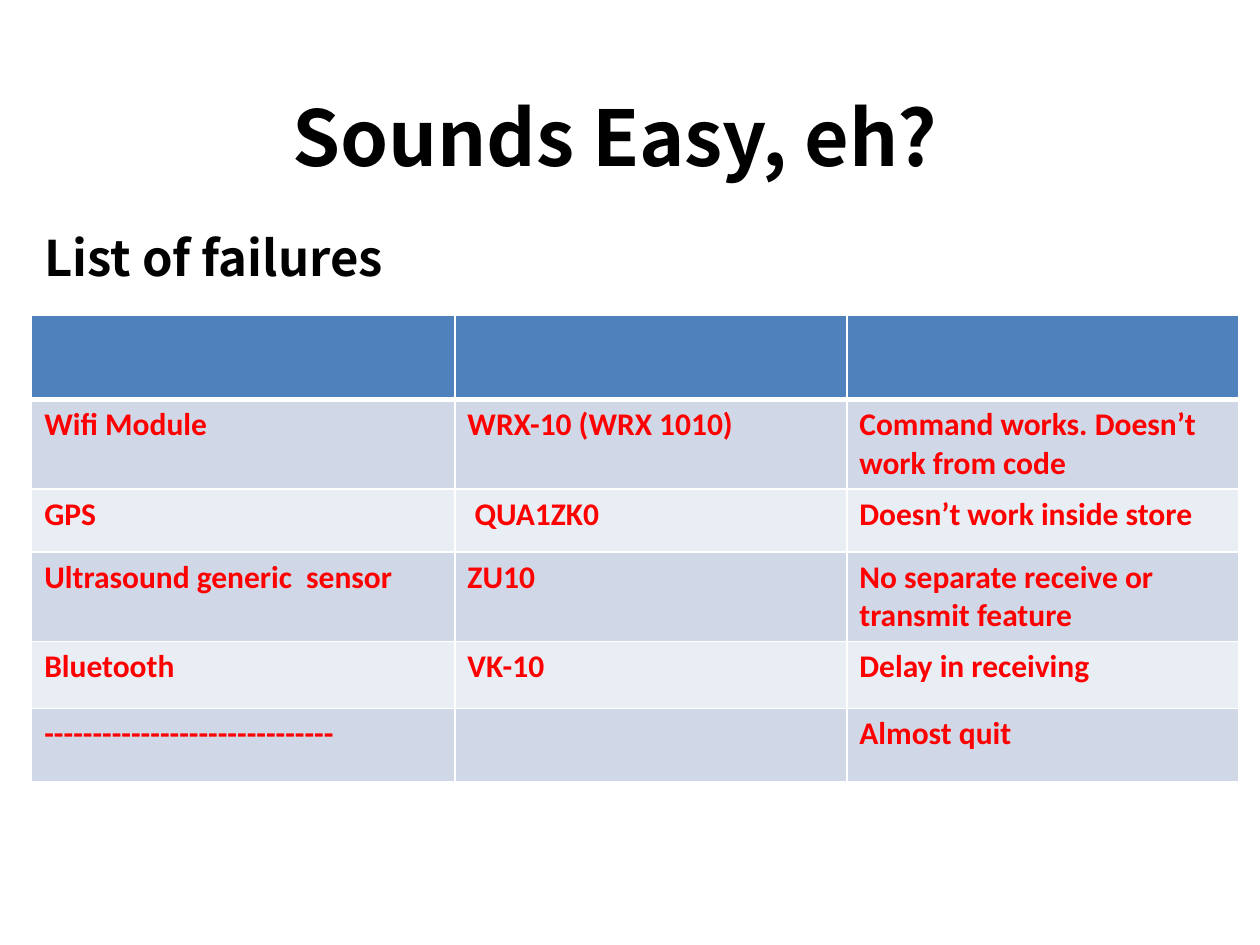
from lxml import etree
from pptx import Presentation
from pptx.dml.color import RGBColor
from pptx.enum.text import MSO_ANCHOR, MSO_AUTO_SIZE, PP_ALIGN
from pptx.oxml.ns import qn
from pptx.util import Cm, Pt

MIDDLE = MSO_ANCHOR.MIDDLE
NO_FIT = MSO_AUTO_SIZE.NONE
LEFT, CENTER = PP_ALIGN.LEFT, PP_ALIGN.CENTER

TITLE = "Sounds Easy, eh?"
SUBTITLE = "List of failures"
FAILURES = [
    ("", "", ""),
    ("Wifi Module", "WRX-10 (WRX 1010)", "Command works. Doesn’t work from code"),
    ("GPS", " QUA1ZK0", "Doesn’t work inside store"),
    ("Ultrasound generic  sensor", "ZU10", "No separate receive or transmit feature"),
    ("Bluetooth", "VK-10", "Delay in receiving"),
    ("-" * 30, "", "Almost quit"),
]
COL_WIDTHS = [8.53, 7.9, 7.9]
ROW_HEIGHTS = [1.7, 1.47, 1.27, 1.32, 1.35, 1.47]
COLORS = {"text": "000000", "failure": "FF0000", "header": "4F81BD",
          "odd": "D0D8E8", "even": "E9EDF4", "border": "FFFFFF"}
HEAD_FONT, BODY_FONT = "Noto Sans CJK KR", "Calibri"


def add_run(p, text, font, size, color):
    r = p.add_run()
    r.text = text
    r.font.name = font
    r.font.size = Pt(size)
    r.font.bold = True
    r.font.color.rgb = RGBColor.from_string(COLORS[color])


def write_heading(sp, text, size, align):
    tf = sp.text_frame
    tf.word_wrap = True
    tf.auto_size = NO_FIT
    tf.vertical_anchor = MIDDLE
    p = tf.paragraphs[0]
    p.alignment = align
    add_run(p, text, HEAD_FONT, size, "text")


def set_borders(cell, bottom):
    tcPr = cell._tc.get_or_add_tcPr()
    widths = {"a:lnL": 1, "a:lnR": 1, "a:lnT": 1, "a:lnB": bottom}
    for i, (tag, width) in enumerate(widths.items()):
        ln = etree.Element(qn(tag), w=str(Pt(width)))
        fill = etree.SubElement(ln, qn("a:solidFill"))
        etree.SubElement(fill, qn("a:srgbClr"), val=COLORS["border"])
        tcPr.insert(i, ln)


prs = Presentation()
prs.slide_width, prs.slide_height = Cm(25.4), Cm(19.05)
s = prs.slides.add_slide(prs.slide_layouts[5])

title = s.shapes.title
title.left, title.top, title.width, title.height = Cm(2.34), Cm(1.47), Cm(20.12), Cm(2.54)
write_heading(title, TITLE, 44, CENTER)

table = s.shapes.add_table(len(ROW_HEIGHTS), len(COL_WIDTHS), Cm(0.64), Cm(6.35),
                           Cm(sum(COL_WIDTHS)), Cm(sum(ROW_HEIGHTS))).table
for col, width in zip(table.columns, COL_WIDTHS):
    col.width = Cm(width)
for i, (row, height, texts) in enumerate(zip(table.rows, ROW_HEIGHTS, FAILURES)):
    row.height = Cm(height)
    band = "header" if i == 0 else "odd" if i % 2 else "even"
    for cell, text in zip(row.cells, texts):
        cell.fill.solid()
        cell.fill.fore_color.rgb = RGBColor.from_string(COLORS[band])
        set_borders(cell, 3 if i == 0 else 1)
        if text:
            add_run(cell.text_frame.paragraphs[0], text, BODY_FONT, 18, "failure")

subtitle = s.shapes.add_textbox(Cm(0.64), Cm(4.01), Cm(15.44), Cm(2.34))
write_heading(subtitle, SUBTITLE, 28, LEFT)

prs.save("out.pptx")
